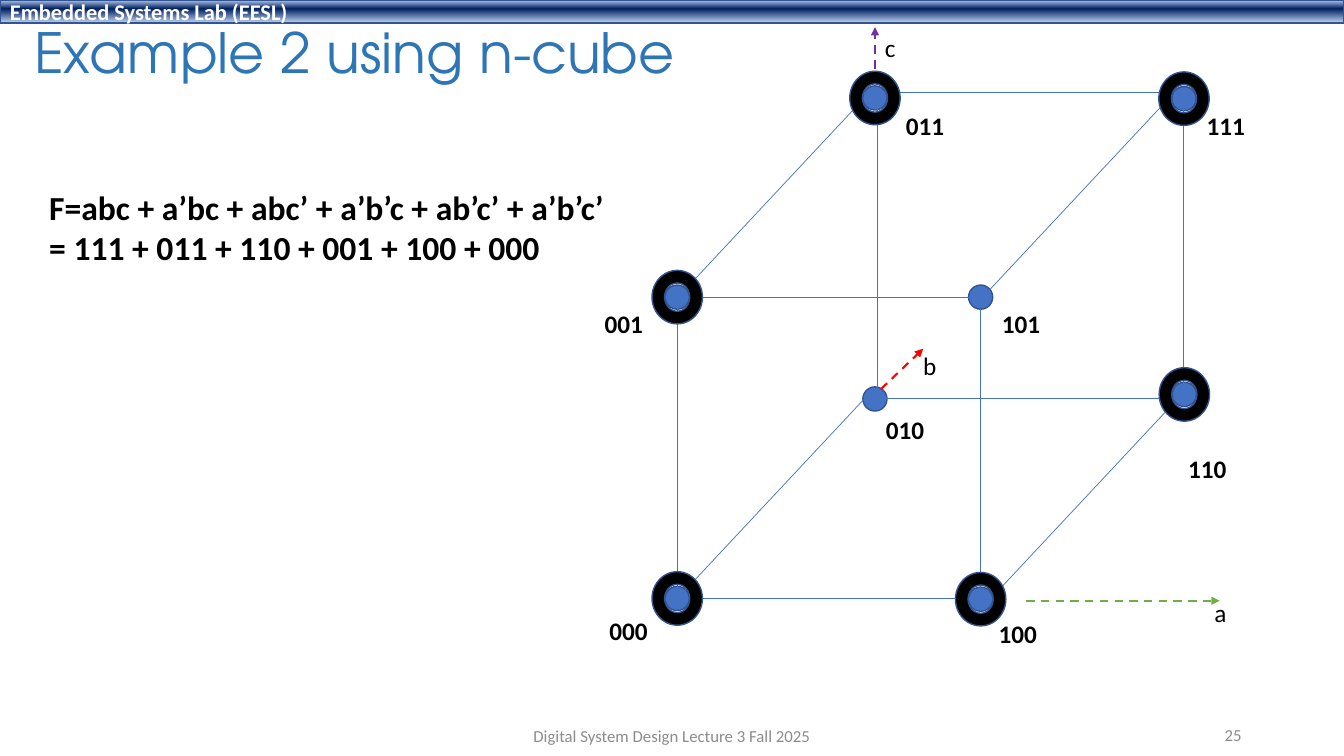
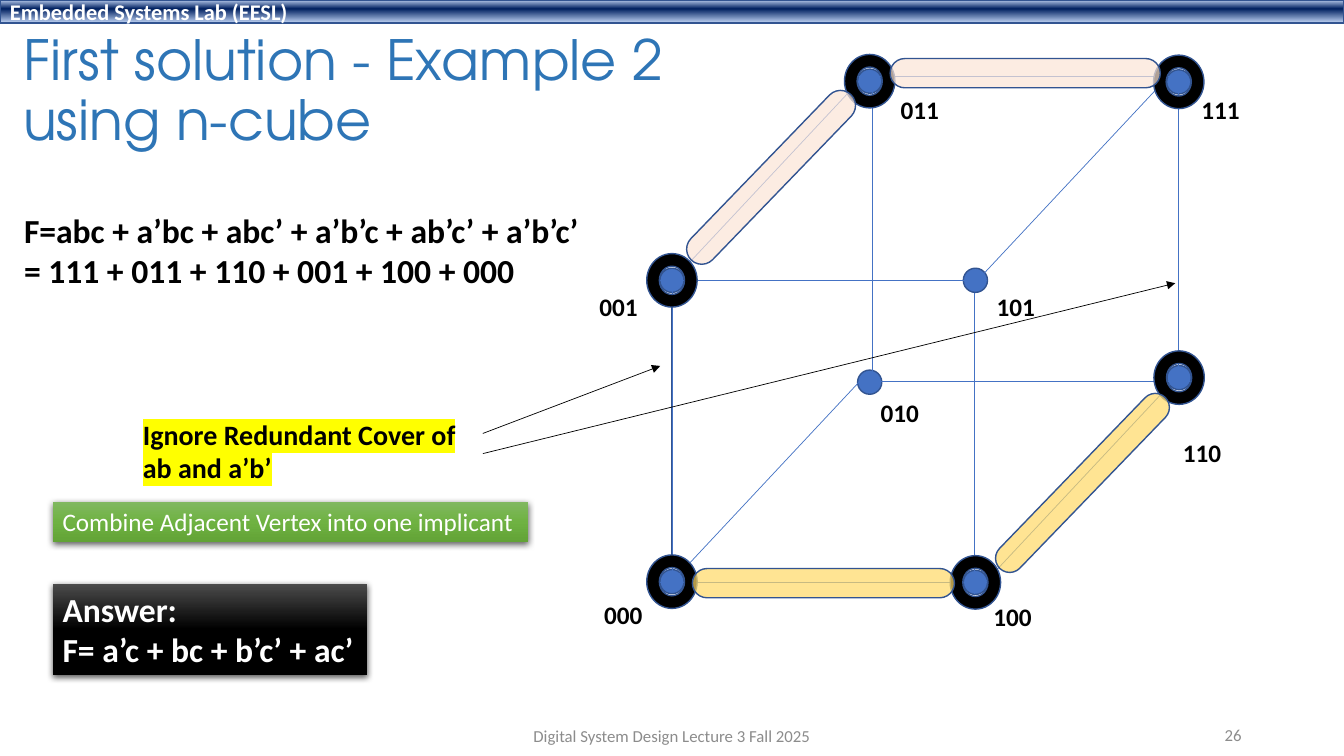
from dataclasses import dataclass

from lxml.etree import SubElement
from pptx import Presentation
from pptx.dml.color import RGBColor
from pptx.enum.dml import MSO_LINE
from pptx.enum.shapes import MSO_CONNECTOR, MSO_SHAPE
from pptx.enum.text import MSO_ANCHOR, MSO_AUTO_SIZE, PP_ALIGN
from pptx.oxml.ns import qn
from pptx.util import Pt


@dataclass(frozen=True)
class Theme:
    body_font: str = "Calibri"
    title_font: str = "TeX Gyre Adventor"
    title: str = "2E75B6"
    footer: str = "8C8C8C"
    ink: str = "000000"
    paper: str = "FFFFFF"
    node: str = "4472C4"
    outline: str = "325491"
    axis_a: str = "70AD47"
    axis_b: str = "FF0000"
    axis_c: str = "7030A0"
    marker: str = "FFFF00"
    peach: str = "FBE5D6"
    gold: str = "FFD966"
    # Gradient stops: position in percent, colour
    band: tuple = ((2, "ABC0E4"), (38, "002060"), (93, "ACC1E5"))
    black_card: tuple = ((0, "4B4B4B"), (50, "000000"), (100, "000000"))
    green_card: tuple = ((0, "81B861"), (50, "6FB242"), (100, "62A336"))
    title_size: float = 39.6
    formula_size: float = 24
    note_size: float = 20
    label_size: float = 18
    band_size: float = 16
    footer_size: float = 12
    thin: float = 0.5
    border: float = 1
    arrow: float = 1.5


theme = Theme()


def write(box, lines, size, color=theme.ink, bold=False, wrap=False,
          align=PP_ALIGN.LEFT, font=theme.body_font):
    """Fill a box with one paragraph per line; unwrapped boxes fit their text."""
    frame = box.text_frame
    frame.word_wrap = wrap
    frame.auto_size = MSO_AUTO_SIZE.NONE if wrap else MSO_AUTO_SIZE.SHAPE_TO_FIT_TEXT
    frame.vertical_anchor = MSO_ANCHOR.MIDDLE if wrap else MSO_ANCHOR.TOP
    for index, line in enumerate(lines):
        para = frame.add_paragraph() if index else frame.paragraphs[0]
        para.alignment = align
        span = para.add_run()
        span.text = line
        span.font.name, span.font.size, span.font.bold = font, Pt(size), bold
        span.font.color.rgb = RGBColor.from_string(color)


def draw(shapes, kind, place, fill, line=theme.outline, opacity=100):
    """Add a shape; fill is a colour or a tuple of gradient stops."""
    shape = shapes.add_shape(kind, *map(Pt, place))
    shape.shadow.inherit = False
    if isinstance(fill, str):
        shape.fill.solid()
        shape.fill.fore_color.rgb = RGBColor.from_string(fill)
        if opacity < 100:
            color = shape.element.spPr.find(qn("a:solidFill")).find(qn("a:srgbClr"))
            SubElement(color, qn("a:alpha")).set("val", str(opacity * 1000))
    else:
        shape.fill.gradient()
        shape.fill.gradient_angle = 270
        stops = shape.element.spPr.find(qn("a:gradFill")).find(qn("a:gsLst"))
        for old_stop in list(stops):
            stops.remove(old_stop)
        for position, value in fill:
            stop = SubElement(stops, qn("a:gs"))
            stop.set("pos", str(position * 1000))
            SubElement(stop, qn("a:srgbClr")).set("val", value)
    if line:
        shape.line.color.rgb = RGBColor.from_string(line)
        shape.line.width = Pt(theme.border)
    else:
        shape.line.fill.background()
    return shape


# Cube geometry: vertex centre, label offset, and whether the minterm is in F
VERTICES = {
    "000": (483.75, 427.5, -55.5, 8.75, True),
    "100": (700.5, 428, 5.75, 10, True),
    "001": (483.75, 212.25, -59, 4.5, True),
    "101": (700.5, 212.25, 8, 4.5, False),
    "011": (625, 70, 15, 5.5, True),
    "111": (845.75, 70.5, 9, 5, True),
    "010": (625, 285, 0.75, 7.25, False),
    "110": (846, 281.75, -4.5, 38.75, True),
}
# Every direction has one length and four starting points
EDGES = {
    (233.5, 0): [(475.2, 212.4), (475.2, 427.7), (616.3, 66.2), (626.4, 284.4)],
    (0, 215.4): [(483.8, 212.4), (700, 221), (626.6, 66.2), (845.3, 66.2)],
    (-135.2, 144.5): [(625, 61.9), (836.6, 68.4), (841.7, 284.4), (618.5, 283.7)],
}
NODE = 17.3
RING_WIDTH, RING_HEIGHT = 36, 38.2
FORMULA = ["F=abc + a’bc + abc’ + a’b’c + ab’c’ + a’b’c’",
           "= 111 + 011 + 110 + 001 + 100 + 000"]

# What differs between the slides
PAGES = [
    {
        "number": "25",
        "title": ("Example 2 using n-cube", (17.3, -3.6, 481, 86.4)),
        "formula": (28.1, 130),
        "shift": (0, 0),
        "redundant": [],
        "covers": [],
        "arrows": [
            (733, 429.1, 871.2, 429.1, theme.axis_a, theme.arrow),
            (625, 49, 625, 19.4, theme.axis_c, theme.arrow),
            (629.3, 277.9, 659.5, 249.1, theme.axis_b, theme.arrow),
        ],
        "axis_names": [("a", 860.4, 423.4), ("c", 625, 19.4), ("b", 652.3, 247)],
        "notes": [],
        "cards": [],
    },
    {
        "number": "26",
        "title": ("First solution - Example 2 using n-cube", (9.4, 23, 485.3, 86.4)),
        "formula": (10.1, 146.2),
        "shift": (-3.75, -12),
        "redundant": [(483.5, 231.6, 483.5, 410.9)],
        "covers": [
            ((468.7, 115.9, 164.2, 21.6), 314, theme.peach),
            ((635.8, 41.8, 193, 20.9), 0, theme.peach),
            ((688.3, 334.8, 169.9, 20.2), 314, theme.gold),
            ((494.6, 406.1, 187.2, 20.9), 0, theme.gold),
        ],
        "arrows": [
            (344.9, 309.6, 471.6, 261.4, theme.ink, theme.thin),
            (344.9, 324, 839.5, 202.3, theme.ink, theme.thin),
        ],
        "axis_names": [],
        "notes": [(["Ignore Redundant Cover of", "ab and a’b’"],
                   (95, 294.5, 239.8, 55.4))],
        "cards": [
            (["Answer:", "F= a’c + bc + b’c’ + ac’"], (37.6, 416.9, 224.6, 65.5),
             theme.black_card, theme.formula_size, True),
            (["Combine Adjacent Vertex into one implicant"], (37.6, 358.4, 339.8, 28.8),
             theme.green_card, theme.label_size, False),
        ],
    },
]

deck = Presentation()
deck.slide_width, deck.slide_height = Pt(960), Pt(540)
layout = deck.slide_layouts[5]

for index, content in enumerate(PAGES):
    page = deck.slides.add_slide(layout)

    # Lab band, drawn once and moved behind everything on the layout
    if index == 0:
        band = draw(page.shapes, MSO_SHAPE.RECTANGLE, (0, 0, 960, 16.6), theme.band)
        write(band, ["Embedded Systems Lab (EESL)"], theme.band_size,
              theme.paper, bold=True, wrap=True)
        layout.shapes.element.insert(2, band.element)

    # Title
    text, place = content["title"]
    title = page.shapes.title
    title.left, title.top, title.width, title.height = map(Pt, place)
    write(title, [text], theme.title_size, theme.title, wrap=True, font=theme.title_font)
    title.text_frame.paragraphs[0].line_spacing = 0.9

    # Footer and slide number
    for text, place, align in [
        ("Digital System Design Lecture 3 Fall 2025", (318, 511.2, 324, 28.8), PP_ALIGN.CENTER),
        (content["number"], (678, 510.5, 216, 28.8), PP_ALIGN.RIGHT),
    ]:
        box = page.shapes.add_textbox(*map(Pt, place))
        write(box, [text], theme.footer_size, theme.footer, wrap=True, align=align)

    # Function as a sum of minterms
    box = page.shapes.add_textbox(*map(Pt, (*content["formula"], 414.7, 65.5)))
    write(box, FORMULA, theme.formula_size, bold=True)

    # Cube: nodes, edges, labels, then rings around the minterms
    cube = page.shapes.add_group_shape().shapes
    shift_x, shift_y = content["shift"]
    for x, y, *_ in VERTICES.values():
        draw(cube, MSO_SHAPE.OVAL,
             (x + shift_x - NODE / 2, y + shift_y - NODE / 2, NODE, NODE), theme.node)
    edges = [(x, y, x + across, y + down, theme.node)
             for (across, down), starts in EDGES.items() for x, y in starts]
    edges += [(*ends, theme.outline) for ends in content["redundant"]]
    for x1, y1, x2, y2, color in edges:
        ends = (x1 + shift_x, y1 + shift_y, x2 + shift_x, y2 + shift_y)
        edge = cube.add_connector(MSO_CONNECTOR.STRAIGHT, *map(Pt, ends))
        edge.line.color.rgb = RGBColor.from_string(color)
        edge.line.width = Pt(theme.thin)
        SubElement(edge.element.spPr, qn("a:effectLst"))
    for code, (x, y, label_x, label_y, covered) in VERTICES.items():
        x, y = x + shift_x, y + shift_y
        label = cube.add_textbox(*map(Pt, (x + label_x, y + label_y, 42.5, 28.8)))
        write(label, [code], theme.label_size, bold=True)
        if covered:
            draw(cube, MSO_SHAPE.DONUT, (x - RING_WIDTH / 2, y - RING_HEIGHT / 2,
                                         RING_WIDTH, RING_HEIGHT), theme.ink)

    # Implicants covering adjacent vertices
    for place, rotation, color in content["covers"]:
        cover = draw(cube, MSO_SHAPE.ROUNDED_RECTANGLE, place, color, opacity=70)
        cover.adjustments[0] = 0.5
        cover.rotation = rotation

    # Axis arrows and pointers; axes are dashed
    for *ends, color, width in content["arrows"]:
        arrow = page.shapes.add_connector(MSO_CONNECTOR.STRAIGHT, *map(Pt, ends))
        arrow.line.color.rgb = RGBColor.from_string(color)
        arrow.line.width = Pt(width)
        if width == theme.arrow:
            arrow.line.dash_style = MSO_LINE.DASH
        SubElement(arrow.element.spPr.find(qn("a:ln")), qn("a:tailEnd")).set("type", "triangle")
        SubElement(arrow.element.spPr, qn("a:effectLst"))
    for name, left, top in content["axis_names"]:
        box = page.shapes.add_textbox(*map(Pt, (left, top, 23, 28.8)))
        write(box, [name], theme.label_size)

    # Highlighted notes
    for lines, place in content["notes"]:
        box = page.shapes.add_textbox(*map(Pt, place))
        write(box, lines, theme.note_size, bold=True)
        for properties in box.element.iter(qn("a:rPr")):
            highlight = SubElement(properties, qn("a:highlight"))
            SubElement(highlight, qn("a:srgbClr")).set("val", theme.marker)
            properties.find(qn("a:solidFill")).addnext(highlight)

    # Gradient cards with a soft shadow
    for lines, place, fill, size, bold in content["cards"]:
        card = draw(page.shapes, MSO_SHAPE.RECTANGLE, place, fill, line=None)
        write(card, lines, size, theme.paper, bold)
        shadow = SubElement(card.element.spPr.find(qn("a:effectLst")), qn("a:outerShdw"))
        for key, value in {"blurRad": Pt(4.5), "dist": Pt(1.5), "dir": 5400000}.items():
            shadow.set(key, str(int(value)))
        color = SubElement(shadow, qn("a:srgbClr"))
        color.set("val", theme.ink)
        SubElement(color, qn("a:alpha")).set("val", "63000")

deck.save("out.pptx")
